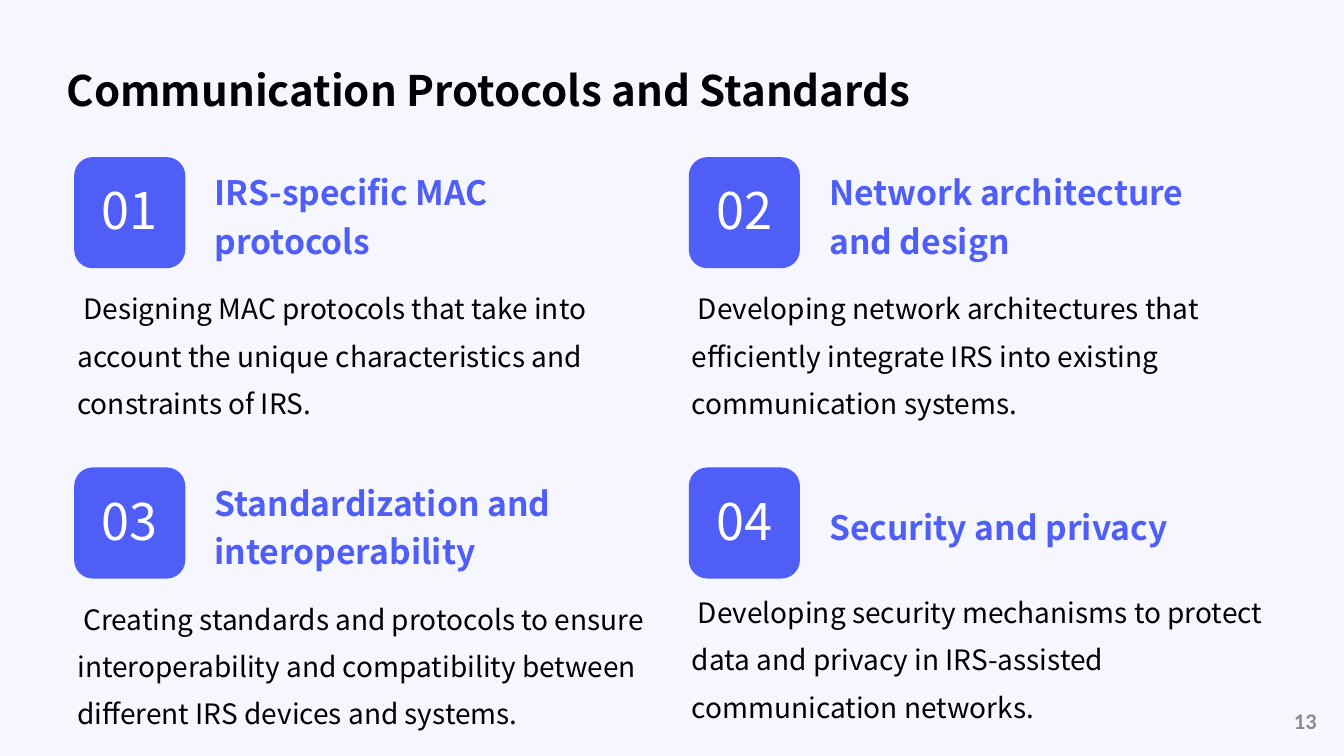
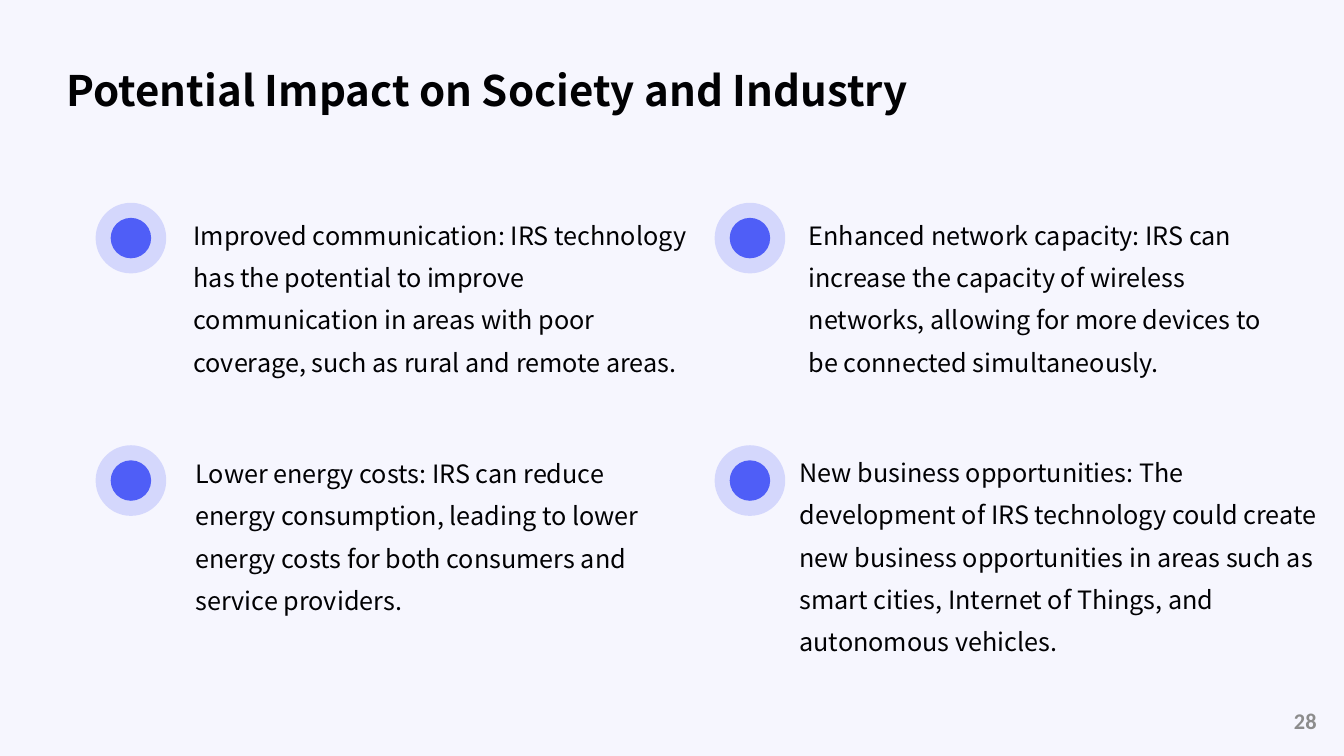
from lxml import etree
from pptx import Presentation
from pptx.dml.color import RGBColor
from pptx.enum import shapes, text
from pptx.oxml import ns
from pptx.util import Cm, Pt

BACKGROUND = RGBColor(0xF6, 0xF6, 0xFE)
ACCENT = RGBColor(0x4F, 0x5E, 0xF7)
INK = RGBColor(0x01, 0x01, 0x03)
WHITE = RGBColor(0xFF, 0xFF, 0xFF)
GREY = RGBColor(0x8C, 0x8C, 0x8C)
FONT = "Noto Sans CJK SC"
NUMBER_FONT = "Calibri"

DEFAULT_INSETS = (0.25, 0.13, 0.25, 0.13)
WIDE_INSETS = (0.36, 0.36, 0.15, 0.36)
NO_INSETS = (0, 0, 0, 0)
MIDDLE = text.MSO_ANCHOR.MIDDLE
TOP = text.MSO_ANCHOR.TOP

PROTOCOLS = [
    # heading, body, body offset below the badge's top
    ("IRS-specific MAC protocols",
     "Designing MAC protocols that take into account the unique "
     "characteristics and constraints of IRS.", 3.06),
    ("Network architecture and design",
     "Developing network architectures that efficiently integrate IRS into "
     "existing communication systems.", 3.06),
    ("Standardization and interoperability",
     "Creating standards and protocols to ensure interoperability and "
     "compatibility between different IRS devices and systems.", 3.06),
    ("Security and privacy",
     "Developing security mechanisms to protect data and privacy in "
     "IRS-assisted communication networks.", 2.9),
]

IMPACTS = [
    # statement, offset from the marker (x, y), width
    ("Improved communication: IRS technology has the potential to improve "
     "communication in areas with poor coverage, such as rural and remote "
     "areas.", 2.11, -0.23, 13.23),
    ("Enhanced network capacity: IRS can increase the capacity of wireless "
     "networks, allowing for more devices to be connected simultaneously.",
     2.01, -0.23, 12.52),
    ("Lower energy costs: IRS can reduce energy consumption, leading to lower "
     "energy costs for both consumers and service providers.",
     2.16, -0.33, 12.37),
    ("New business opportunities: The development of IRS technology could "
     "create new business opportunities in areas such as smart cities, "
     "Internet of Things, and autonomous vehicles.", 1.78, -0.36, 14.1),
]


def write(shape, words, size, color=INK, bold=False, font=FONT, spacing=None,
          align=None, anchor=TOP, insets=DEFAULT_INSETS):
    """Fill a shape's text frame with one formatted paragraph."""
    frame = shape.text_frame
    frame.word_wrap = True
    frame.vertical_anchor = anchor
    (frame.margin_left, frame.margin_top,
     frame.margin_right, frame.margin_bottom) = map(Cm, insets)
    frame.text = words
    paragraph = frame.paragraphs[0]
    paragraph.alignment = align
    paragraph.line_spacing = spacing
    face = paragraph.runs[0].font
    face.name, face.size, face.bold = font, Pt(size), bold
    face.color.rgb = color
    return paragraph


def add_text(slide, box, words, size, **style):
    return write(slide.shapes.add_textbox(*map(Cm, box)), words, size, **style)


def add_solid(slide, kind, box, alpha=None):
    """Add an accent-coloured shape, with opacity alpha in percent."""
    shape = slide.shapes.add_shape(kind, *map(Cm, box))
    shape.shadow.inherit = False
    shape.fill.solid()
    shape.fill.fore_color.rgb = ACCENT
    shape.line.fill.background()
    if alpha is not None:
        color = shape.fill._xPr.find(".//" + ns.qn("a:srgbClr"))
        etree.SubElement(color, ns.qn("a:alpha"), val=str(alpha * 1000))
    return shape


def grid(left, top, x_pitch, y_pitch):
    """Corners of a two-by-two grid, row by row."""
    return [(left + col * x_pitch, top + row * y_pitch)
            for row in range(2) for col in range(2)]


def add_base_slide(deck, title, number):
    """Add a slide with the shared background, title and page number."""
    slide = deck.slides.add_slide(deck.slide_layouts[6])
    slide.background.fill.solid()
    slide.background.fill.fore_color.rgb = BACKGROUND
    add_text(slide, (1.32, 0.74, 31.22, 2.54), title, 30, bold=True,
             spacing=1.4, anchor=MIDDLE, insets=WIDE_INSETS)
    add_text(slide, (27.51, 17.65, 5.92, 1.02), str(number), 16, color=GREY,
             bold=True, font=NUMBER_FONT, align=text.PP_ALIGN.RIGHT,
             anchor=MIDDLE)
    return slide


def add_protocol(slide, x, y, number, heading, body, body_offset):
    badge_size = 2.8
    badge = add_solid(slide, shapes.MSO_SHAPE.ROUNDED_RECTANGLE,
                      (x, y, badge_size, badge_size))
    write(badge, f"{number:02}", 36, color=WHITE, anchor=MIDDLE,
          align=text.PP_ALIGN.CENTER, insets=(0, 0, 0, 0.15))
    add_text(slide, (x + 3.29, y, 9.86, badge_size), heading, 24, color=ACCENT,
             bold=True, spacing=1.2, anchor=MIDDLE)
    paragraph = add_text(slide, (x + 0.08, y + body_offset, 14.6, 2.77), body,
                         20, spacing=1.4, insets=NO_INSETS)
    paragraph._p.get_or_add_pPr().set("indent", str(Cm(0.15)))


def add_impact(slide, x, y, statement, dx, dy, width):
    halo, dot = 1.78, 1.02
    inset = (halo - dot) / 2
    add_solid(slide, shapes.MSO_SHAPE.OVAL, (x, y, halo, halo), alpha=20)
    add_solid(slide, shapes.MSO_SHAPE.OVAL, (x + inset, y + inset, dot, dot))
    add_text(slide, (x + dx, y + dy, width, 5.11), statement, 18, spacing=1.4,
             insets=WIDE_INSETS)


def add_protocols_slide(deck):
    slide = add_base_slide(deck, "Communication Protocols and Standards", 13)
    corners = grid(1.87, 3.96, 15.49, 7.82)
    for number, ((x, y), protocol) in enumerate(zip(corners, PROTOCOLS), 1):
        add_protocol(slide, x, y, number, *protocol)


def add_impacts_slide(deck):
    slide = add_base_slide(deck, "Potential Impact on Society and Industry", 28)
    for (x, y), impact in zip(grid(2.41, 5.11, 15.6, 6.11), IMPACTS):
        add_impact(slide, x, y, *impact)


def main():
    deck = Presentation()
    deck.slide_width, deck.slide_height = Cm(33.87), Cm(19.05)
    add_protocols_slide(deck)
    add_impacts_slide(deck)
    deck.save("out.pptx")


if __name__ == "__main__":
    main()
